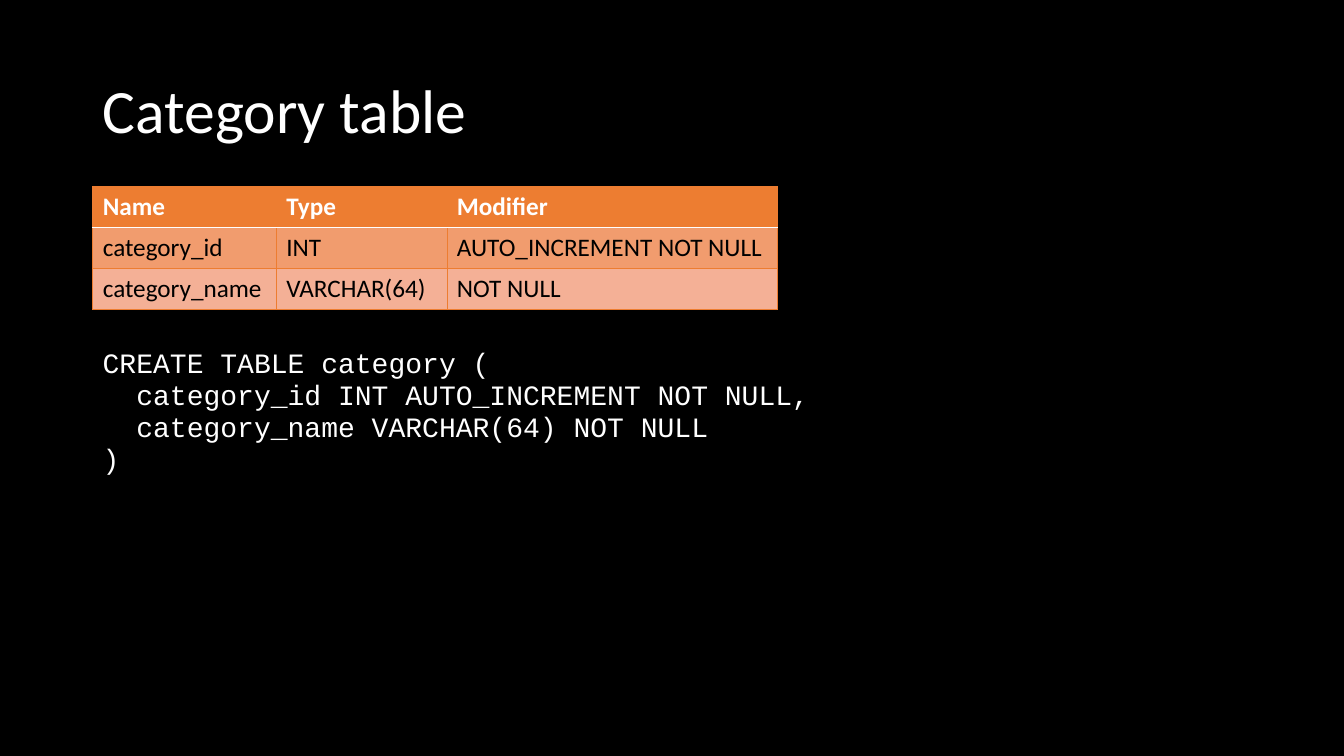
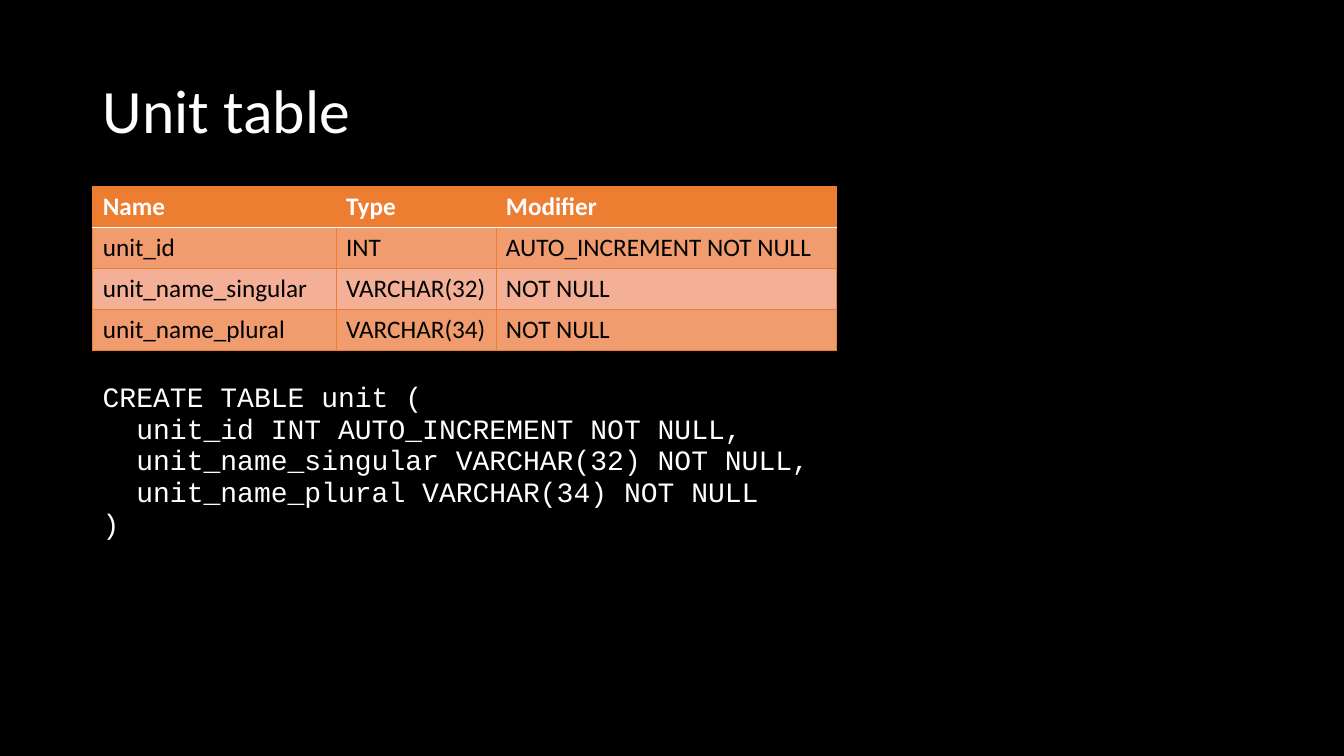
from lxml.etree import SubElement
from pptx import Presentation
from pptx.dml.color import RGBColor
from pptx.enum.text import MSO_ANCHOR, MSO_AUTO_SIZE, PP_ALIGN
from pptx.oxml.ns import qn
from pptx.util import Inches, Pt

SLIDE_WIDTH, SLIDE_HEIGHT = Inches(13.333), Inches(7.5)

BLACK = RGBColor(0x00, 0x00, 0x00)
WHITE = RGBColor(0xFF, 0xFF, 0xFF)
ORANGE = RGBColor(0xED, 0x7D, 0x31)
BAND_DARK = RGBColor(0xF1, 0x9C, 0x6E)
BAND_LIGHT = RGBColor(0xF4, 0xB0, 0x96)

TEXT_FONT, CODE_FONT = "Calibri", "Courier New"
HEADINGS = ("Name", "Type", "Modifier")

# Places and sizes are percentages of the slide's width and height.
LEFT = 6.9
TITLE_BOX = (LEFT, 5.33, 86.25, 19.33)
TABLE_TOP = 24.65
ROW_HEIGHT = 5.41
CODE_WIDTH, CODE_HEIGHT = 54.6, 23.73

SCHEMAS = [
    {
        "entity": "category",
        "widths": (13.65, 12.7, 24.6),
        "code_top": 45.6,
        "columns": [
            ("category_id", "INT", "AUTO_INCREMENT NOT NULL"),
            ("category_name", "VARCHAR(64)", "NOT NULL"),
        ],
    },
    {
        "entity": "unit",
        "widths": (18.1, 11.9, 25.35),
        "code_top": 50,
        "columns": [
            ("unit_id", "INT", "AUTO_INCREMENT NOT NULL"),
            ("unit_name_singular", "VARCHAR(32)", "NOT NULL"),
            ("unit_name_plural", "VARCHAR(34)", "NOT NULL"),
        ],
    },
]


def across(percent):
    return round(SLIDE_WIDTH * percent / 100)


def down(percent):
    return round(SLIDE_HEIGHT * percent / 100)


def to_emu(box):
    left, top, width, height = box
    return across(left), down(top), across(width), down(height)


def style_font(paragraph, name, size, color, bold=False):
    font = paragraph.font
    font.name, font.size, font.bold = name, Pt(size), bold
    font.color.rgb = color


def add_title(slide, text, box):
    title = slide.shapes.title
    title.left, title.top, title.width, title.height = to_emu(box)
    frame = title.text_frame
    frame.text = text
    frame.vertical_anchor = MSO_ANCHOR.MIDDLE
    frame.auto_size = MSO_AUTO_SIZE.NONE
    paragraph = frame.paragraphs[0]
    paragraph.alignment = PP_ALIGN.LEFT
    paragraph.line_spacing = 0.9
    style_font(paragraph, TEXT_FONT, 44, WHITE)


def set_borders(cell, borders):
    """Draw (side, colour, points) borders; sides come in the order L, R, T, B."""
    properties = cell._tc.get_or_add_tcPr()
    for side, color, points in borders:
        line = SubElement(properties, qn(f"a:ln{side}"), w=str(Pt(points)))
        fill = SubElement(line, qn("a:solidFill"))
        SubElement(fill, qn("a:srgbClr"), val=str(color))


def format_cell(cell, row):
    is_header = row == 0
    thin, divider = (ORANGE, 0.5), (WHITE, 1)
    set_borders(cell, [
        ("L", *thin),
        ("R", *thin),
        ("T", *(divider if row == 1 else thin)),
        ("B", *(divider if is_header else thin)),
    ])
    cell.fill.solid()
    band = BAND_DARK if row % 2 else BAND_LIGHT
    cell.fill.fore_color.rgb = ORANGE if is_header else band
    style_font(cell.text_frame.paragraphs[0], TEXT_FONT, 18,
               WHITE if is_header else BLACK, bold=is_header)


def add_schema_table(slide, columns, widths, left, top):
    rows = [HEADINGS, *columns]
    box = (left, top, sum(widths), ROW_HEIGHT * len(rows))
    table = slide.shapes.add_table(len(rows), len(HEADINGS), *to_emu(box)).table
    for table_column, width in zip(table.columns, widths):
        table_column.width = across(width)
    for row, values in enumerate(rows):
        for column, value in enumerate(values):
            cell = table.cell(row, column)
            cell.text = value
            format_cell(cell, row)


def create_statement(entity, columns):
    definitions = ",\n".join("  " + " ".join(column) for column in columns)
    return f"CREATE TABLE {entity} (\n{definitions}\n)"


def add_code(slide, code, box):
    frame = slide.shapes.add_textbox(*to_emu(box)).text_frame
    frame.word_wrap = True
    frame.text = code
    for index, paragraph in enumerate(frame.paragraphs):
        paragraph.line_spacing = 0.9
        if index:
            paragraph.space_before = Pt(1.2)
        style_font(paragraph, CODE_FONT, 20, WHITE)


def add_schema_slide(deck, entity, columns, widths, code_top):
    slide = deck.slides.add_slide(deck.slide_layouts.get_by_name("Title Only"))
    add_title(slide, f"{entity.capitalize()} table", TITLE_BOX)
    add_schema_table(slide, columns, widths, LEFT, TABLE_TOP)
    add_code(slide, create_statement(entity, columns),
             (LEFT, code_top, CODE_WIDTH, CODE_HEIGHT))


def main():
    deck = Presentation()
    deck.slide_width, deck.slide_height = SLIDE_WIDTH, SLIDE_HEIGHT
    background = deck.slide_master.background.fill
    background.solid()
    background.fore_color.rgb = BLACK
    for schema in SCHEMAS:
        add_schema_slide(deck, **schema)
    deck.save("out.pptx")


if __name__ == "__main__":
    main()
